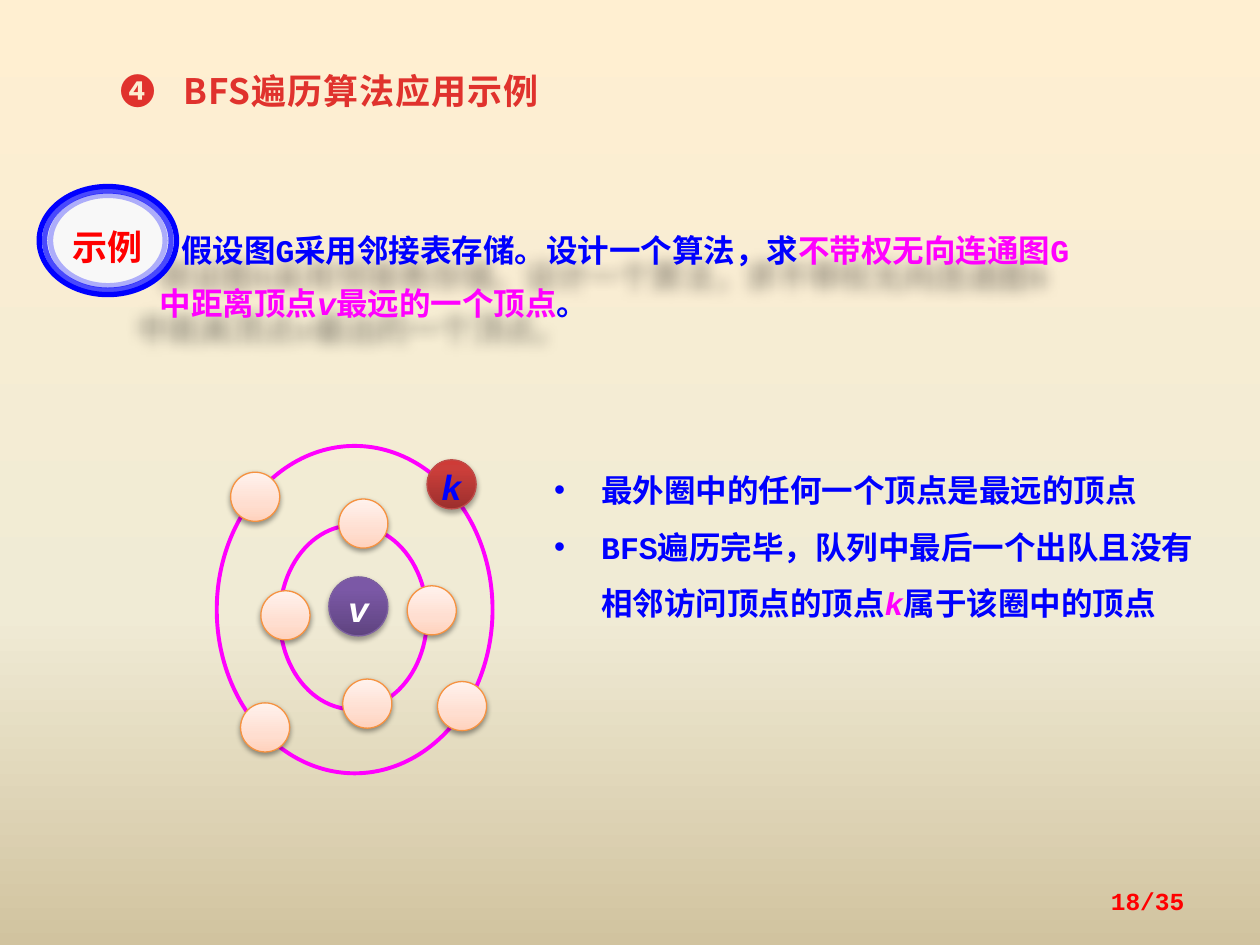
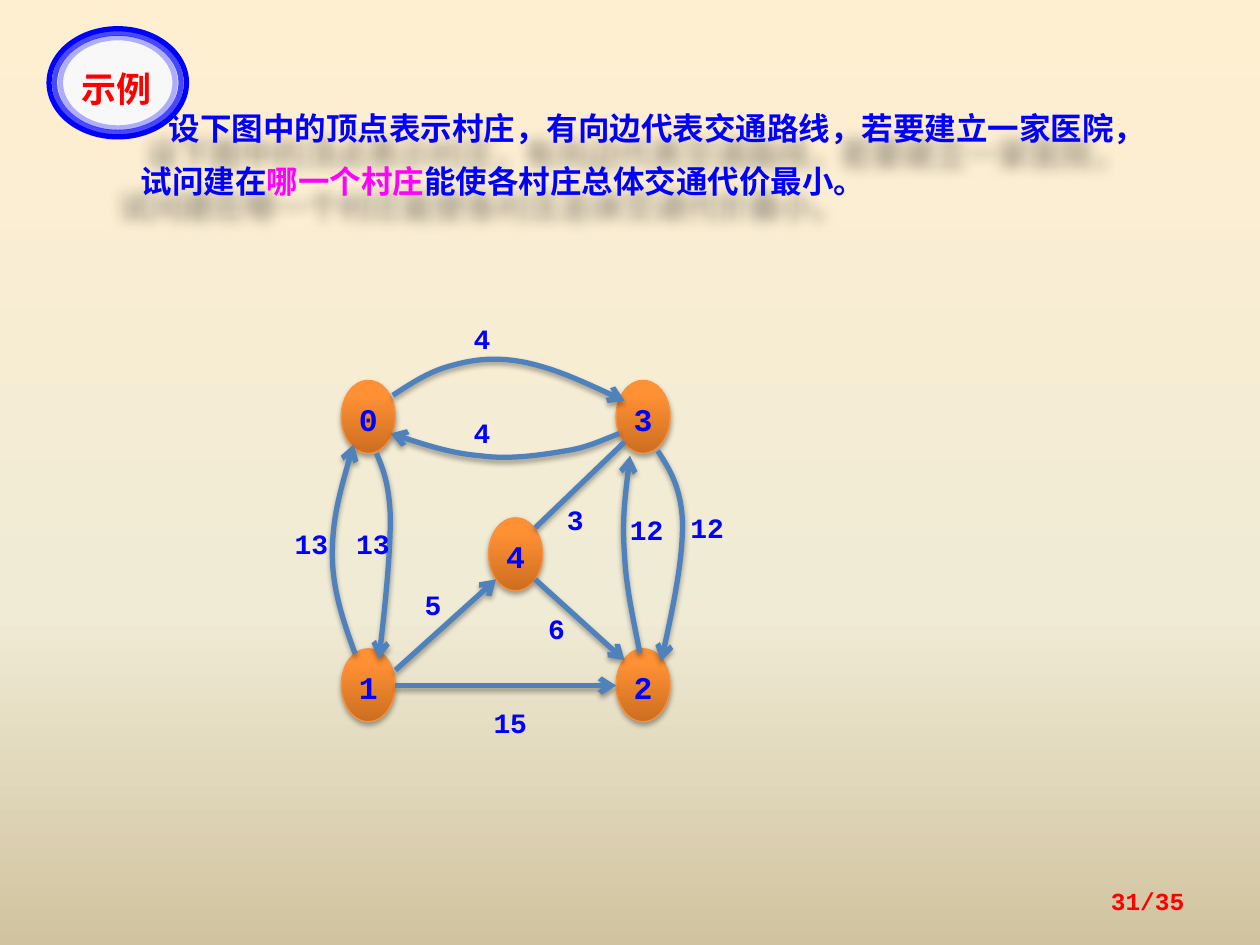
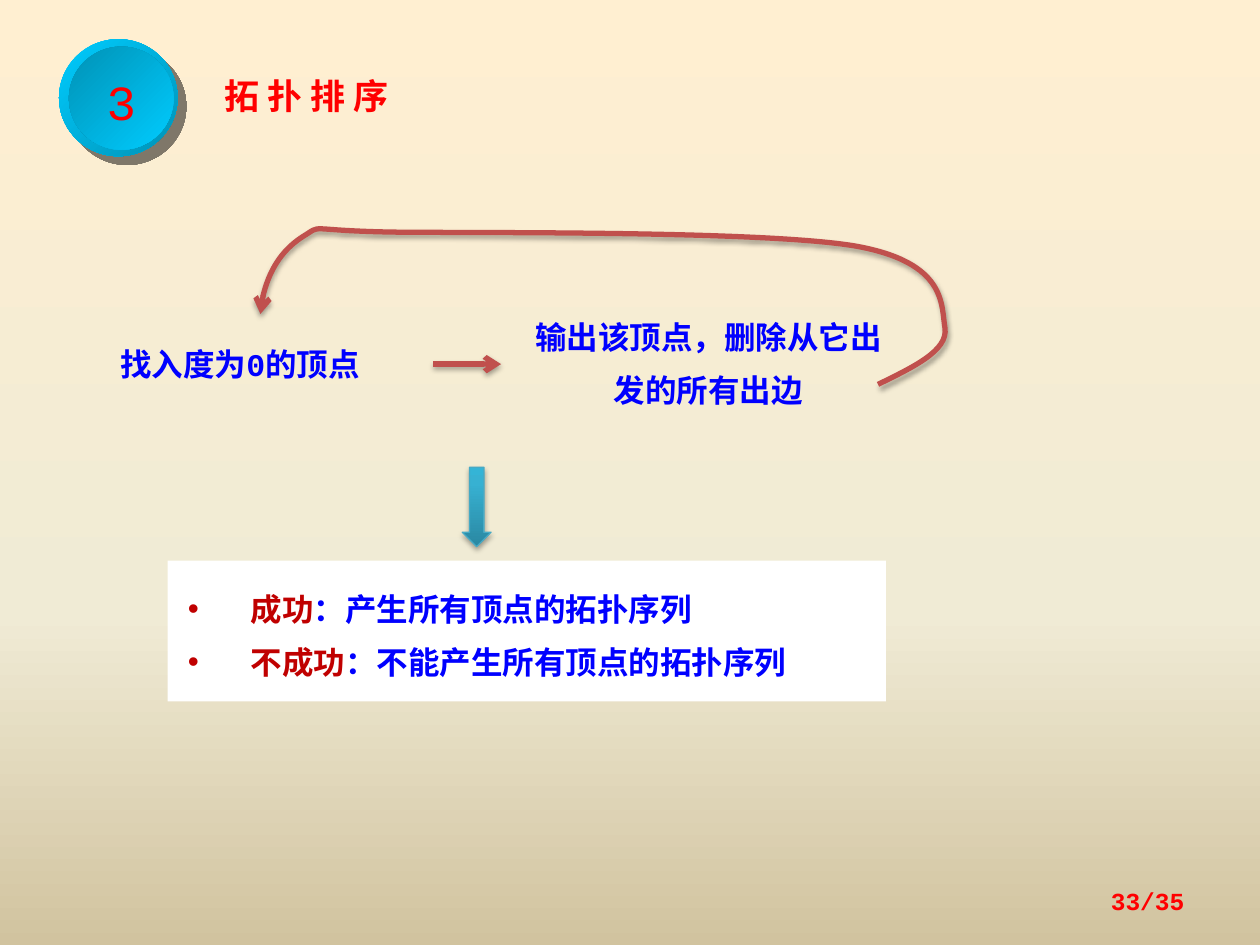
import pptx
import pptx.dml.color
import pptx.enum.shapes
import pptx.enum.text
import pptx.oxml.ns
import pptx.util
from lxml import etree

Cm = pptx.util.Cm
Pt = pptx.util.Pt
RGBColor = pptx.dml.color.RGBColor
MSO_SHAPE = pptx.enum.shapes.MSO_SHAPE
MSO_CONNECTOR = pptx.enum.shapes.MSO_CONNECTOR
PP_ALIGN = pptx.enum.text.PP_ALIGN
MSO_ANCHOR = pptx.enum.text.MSO_ANCHOR
MSO_AUTO_SIZE = pptx.enum.text.MSO_AUTO_SIZE
qn = pptx.oxml.ns.qn

BLUE = RGBColor(0x00, 0x00, 0xFF)
MAGENTA = RGBColor(0xFF, 0x00, 0xFF)
RED = RGBColor(0xFF, 0x00, 0x00)
DARK_RED = RGBColor(0xC0, 0x00, 0x00)
HEADING_RED = RGBColor(0xE0, 0x32, 0x2D)
WHITE = RGBColor(0xFF, 0xFF, 0xFF)
BLACK = RGBColor(0x00, 0x00, 0x00)
NEAR_BLACK = RGBColor(0x02, 0x02, 0x02)
BADGE_FILL = RGBColor(0xF8, 0xF8, 0xF8)
EDGE_BLUE = RGBColor(0x4F, 0x81, 0xBD)
FLOW_RED = RGBColor(0xC0, 0x50, 0x4D)
PURPLE_RIM = RGBColor(0x7D, 0x60, 0xA0)
ORANGE_RIM = RGBColor(0xF6, 0x92, 0x40)
CRIMSON_RIM = RGBColor(0xBF, 0x4C, 0x48)
TEAL_RIM = RGBColor(0x46, 0xAA, 0xC5)
DISC_LIGHT = RGBColor(0x00, 0xCC, 0xFF)
DISC_DARK = RGBColor(0x00, 0x92, 0xB6)


def stops(positions, *codes):
    return list(zip(positions, map(RGBColor.from_string, codes)))


GLOSS = (0, 80, 100)
SAND = stops((0, 65, 100), "FFEFD1", "F0EBD5", "D1C39F")
PURPLE = stops(GLOSS, "5F4480", "7B58A6", "7C57A8")
CRIMSON = stops(GLOSS, "9C2F2D", "CB3E3A", "CE3B37")
ORANGE = stops(GLOSS, "CC6E20", "FF9034", "FF9136")
TEAL = stops(GLOSS, "2A88A2", "37B1D2", "34B4D6")
PEACH = stops((0, 35, 100), "FFD2BD", "FFDED0", "FFF2ED")

MONO = "Courier New"
CJK = "Noto Sans CJK SC"
BADGE_FONT = "Noto Sans CJK JP"

SOFT = (BLACK, 35, 3.1, 1.8, 90)
PALE = (BLACK, 38, 3.1, 1.6, 90)
HARD = (NEAR_BLACK, 50, 0, 7.1, 45)
FLOATING = (BLACK, 35, 8, 19, 134)


def child(parent, tag, **attributes):
    return etree.SubElement(parent, qn(tag), {k: str(v) for k, v in attributes.items()})


def properties(shape):
    return shape._element.spPr


def set_gradient(fill, holder, colours, angle):
    fill.gradient()
    gradient = holder.find(qn("a:gradFill"))
    gradient.clear()
    stop_list = child(gradient, "a:gsLst")
    for position, colour in colours:
        stop = child(stop_list, "a:gs", pos=position * 1000)
        child(stop, "a:srgbClr", val=colour)
    child(gradient, "a:lin", ang=angle * 60000, scaled=0)


def set_shadow(shape, shadow=None):
    effects = child(properties(shape), "a:effectLst")
    if shadow:
        colour, alpha, blur, distance, angle = shadow
        cast = child(effects, "a:outerShdw", blurRad=Pt(blur), dist=Pt(distance),
                     dir=angle * 60000, rotWithShape=0)
        child(child(cast, "a:srgbClr", val=colour), "a:alpha", val=alpha * 1000)


def set_line(shape, colour, width, alpha=None, arrow=False):
    shape.line.color.rgb = colour
    shape.line.width = Pt(width)
    outline = properties(shape).find(qn("a:ln"))
    if alpha:
        child(outline.find(".//" + qn("a:srgbClr")), "a:alpha", val=alpha * 1000)
    if arrow:
        child(outline, "a:tailEnd", type="arrow")


def within(box, left, top, width, height):
    return Cm(box[0] + left), Cm(box[1] + top), Cm(width), Cm(height)


def write(frame, paragraphs, size, font=MONO, bold=True, align=PP_ALIGN.LEFT, spacing=1.1,
          anchor=MSO_ANCHOR.TOP, insets=None, first=0, hanging=0, tab=0, tracking=0):
    frame.word_wrap = True
    frame.auto_size = MSO_AUTO_SIZE.NONE
    frame.vertical_anchor = anchor
    if insets:
        (frame.margin_left, frame.margin_top,
         frame.margin_right, frame.margin_bottom) = map(Cm, insets)
    for index, pieces in enumerate(paragraphs):
        paragraph = frame.add_paragraph() if index else frame.paragraphs[0]
        layout = paragraph._p.get_or_add_pPr()
        layout.set("marL", str(Cm(hanging)))
        layout.set("indent", str(Cm(first - hanging)))
        if hanging:
            child(layout, "a:buFont", typeface="Arial")
            child(layout, "a:buChar", char="•")
        if tab:
            child(child(layout, "a:tabLst"), "a:tab", pos=Cm(tab), algn="l")
        paragraph.alignment = align
        paragraph.line_spacing = spacing
        for text, colour, *italic in pieces:
            run = paragraph.add_run()
            run.text = text
            run.font.size = Pt(size)
            run.font.bold = bold
            run.font.italic = bool(italic)
            run.font.color.rgb = colour
            run.font.name = font
            face = run._r.get_or_add_rPr()
            child(face, "a:ea", typeface=CJK if font == MONO else font)
            if tracking:
                face.set("spc", str(tracking))


def add_text(slide, place, paragraphs, size, **style):
    text = slide.shapes.add_textbox(*place)
    write(text.text_frame, paragraphs, size, **style)
    return text


def add_figure(slide, kind, place, fill=None, angle=270, line=None, shadow=None):
    figure = slide.shapes.add_shape(kind, *place)
    if isinstance(fill, list):
        set_gradient(figure.fill, properties(figure), fill, angle)
    elif fill:
        figure.fill.solid()
        figure.fill.fore_color.rgb = fill
    else:
        figure.fill.background()
    if line:
        set_line(figure, *line)
    else:
        figure.line.fill.background()
    set_shadow(figure, shadow)
    return figure


def add_node(slide, place, fill, rim, label=None, shadow=SOFT):
    node = add_figure(slide, MSO_SHAPE.OVAL, place, fill, line=(rim, 0.75), shadow=shadow)
    if label:
        text, colour, size, *italic = label
        write(node.text_frame, [[(text, colour, *italic)]], size, align=PP_ALIGN.CENTER,
              anchor=MSO_ANCHOR.MIDDLE, insets=(0, 0, 0, 0))


def add_edge(slide, box, start, end, colour, arrow=True):
    points = [Cm(origin + offset) for point in (start, end) for origin, offset in zip(box, point)]
    edge = slide.shapes.add_connector(MSO_CONNECTOR.STRAIGHT, *points)
    set_line(edge, colour, 3, arrow=arrow)
    set_shadow(edge, SOFT)


def add_curve(slide, box, points, colour):
    vertices = [(Cm(box[0] + x), Cm(box[1] + y)) for x, y in points]
    builder = slide.shapes.build_freeform(*vertices[0])
    builder.add_line_segments(vertices[1:], close=False)
    curve = builder.convert_to_shape()
    outline = properties(curve).find(".//" + qn("a:path"))
    segments = outline.findall(qn("a:lnTo"))
    for index in range(0, len(segments), 3):
        bezier = child(outline, "a:cubicBezTo")
        for segment in segments[index:index + 3]:
            bezier.append(segment[0])
            outline.remove(segment)
    curve.fill.background()
    set_line(curve, colour, 3, arrow=True)
    set_shadow(curve, SOFT)


def add_title(slide, place, text, colour, **style):
    title = slide.shapes.title
    title.left, title.top, title.width, title.height = place
    write(title.text_frame, [[(text, colour)]], 20, **style)


def add_page_number(slide, number):
    add_text(slide, within((18.2, 17.65), 0, 0, 5.93, 1.02), [[(f"{number}/35", RED)]], 14,
             align=PP_ALIGN.RIGHT, anchor=MSO_ANCHOR.MIDDLE, spacing=1.0)


def add_example_badge(slide, box):
    width, height = 2.77, 2.18
    for dx, dy, fill, alpha in ((0, 0, BADGE_FILL, None), (0.11, 0.09, None, 70),
                                (0.23, 0.18, None, 30)):
        add_figure(slide, MSO_SHAPE.OVAL,
                   within(box, dx, dy, width - 2 * dx, height - 2 * dy),
                   fill, line=(BLUE, 3, alpha))
    add_text(slide, within(box, 0.15, 0.58, 2.44, 0.99), [[("示例", RED)]], 20,
             font=BADGE_FONT, align=PP_ALIGN.CENTER)


def add_question(slide, place, pieces, first):
    question = add_text(slide, place, [pieces], 18, spacing=Pt(30), first=first)
    set_shadow(question, FLOATING)


def add_rings(slide, box):
    diameter = 0.99
    add_node(slide, within(box, 2.26, 2.64, 1.19, 1.19), PURPLE, PURPLE_RIM,
             ("v", WHITE, 20, True))
    rings = (
        ((1.27, 1.6, 2.97, 3.71), ((3.84, 2.82), (2.54, 4.7), (2.46, 1.07), (0.89, 2.92))),
        ((0, 0, 5.56, 6.6), ((0.48, 5.18), (4.45, 4.75), (0.28, 0.53))),
    )
    for ring, vertices in rings:
        add_figure(slide, MSO_SHAPE.OVAL, within(box, *ring), line=(MAGENTA, 2.25))
        for x, y in vertices:
            add_node(slide, within(box, x, y, diameter, diameter), PEACH, ORANGE_RIM, shadow=PALE)
    add_node(slide, within(box, 4.24, 0.28, diameter, diameter), CRIMSON, CRIMSON_RIM,
             ("k", BLUE, 20, True))


def add_village_graph(slide, box):
    villages = {"0": (0.94, 1.22), "3": (6.48, 1.22), "4": (3.91, 3.99),
                "1": (0.94, 6.63), "2": (6.48, 6.63)}
    curved_roads = (
        ((1.98, 1.52), (2.36, 1.27), (2.74, 1.02), (3.2, 0.91), (3.63, 0.79),
         (4.09, 0.74), (4.67, 0.86), (5.26, 0.99), (5.94, 1.3), (6.65, 1.63)),
        ((6.55, 2.29), (6.22, 2.41), (5.92, 2.57), (5.46, 2.64), (4.98, 2.72),
         (4.34, 2.82), (3.76, 2.74), (3.18, 2.69), (2.54, 2.49), (1.93, 2.29)),
        ((1.65, 2.69), (1.78, 3), (1.9, 3.28), (1.93, 3.96),
         (1.93, 4.65), (1.83, 5.74), (1.7, 6.83)),
        ((1.22, 6.73), (0.99, 6.1), (0.76, 5.44), (0.76, 4.72),
         (0.76, 4.01), (0.97, 3.25), (1.19, 2.51)),
        ((7.32, 2.64), (7.57, 3.02), (7.8, 3.4), (7.82, 4.11),
         (7.82, 4.83), (7.62, 5.84), (7.39, 6.88)),
        ((6.96, 6.71), (6.83, 6.05), (6.68, 5.38), (6.65, 4.72),
         (6.6, 4.06), (6.68, 3.4), (6.76, 2.74)),
    )
    straight_roads = (
        ((4.85, 4.19), (6.65, 2.46), False),
        ((2.03, 7.06), (4.06, 5.23), True),
        ((2.03, 7.37), (6.48, 7.37), True),
        ((4.85, 5.23), (6.65, 6.86), True),
    )
    costs = (("12", 7.98, 3.81), ("12", 6.76, 3.86), ("13", 0, 4.14), ("13", 1.24, 4.14),
             ("4", 3.61, 0), ("4", 3.61, 1.9), ("5", 2.62, 5.36), ("3", 5.49, 3.66),
             ("15", 4.01, 7.75), ("6", 5.11, 5.84))
    for name, (x, y) in villages.items():
        add_node(slide, within(box, x, y, 1.09, 1.47), ORANGE, ORANGE_RIM, (name, BLUE, 18))
    for points in curved_roads:
        add_curve(slide, box, points, EDGE_BLUE)
    for start, end, arrow in straight_roads:
        add_edge(slide, box, start, end, EDGE_BLUE, arrow)
    for cost, x, y in costs:
        add_text(slide, within(box, x, y, 0.79, 0.71), [[(cost, BLUE)]], 16,
                 spacing=Pt(20), insets=(0, 0, 0, 0))


def add_section_disc(slide, box, number):
    add_figure(slide, MSO_SHAPE.OVAL, within(box, 0, 0, 2.39, 2.36),
               [(0, DISC_LIGHT), (100, DISC_DARK)], 45, shadow=HARD)
    face = add_figure(slide, MSO_SHAPE.OVAL, within(box, 0.2, 0.15, 2.11, 2.08),
                      [(0, DISC_DARK), (100, DISC_LIGHT)], 45)
    write(face.text_frame, [[(number, RED)]], 28, bold=False, align=PP_ALIGN.CENTER,
          anchor=MSO_ANCHOR.MIDDLE)


def add_sorting_loop(slide, box):
    add_text(slide, within(box, 0, 2.03, 6.35, 1.32), [[("找入度为0的顶点", BLUE)]], 18,
             spacing=Pt(30))
    add_text(slide, within(box, 8.33, 1.5, 7.54, 2.39),
             [[("输出该顶点，删除从它出发的所有出边", BLUE)]], 18,
             spacing=Pt(30), align=PP_ALIGN.CENTER)
    add_edge(slide, box, (6.55, 2.84), (7.92, 2.84), FLOW_RED)
    way_back = ((15.52, 3.25), (16.23, 2.9), (16.94, 2.57), (16.87, 2.11),
                (16.79, 1.65), (16.92, 0.79), (15.06, 0.46),
                (13.21, 0.15), (7.62, 0.2), (5.77, 0.18),
                (3.89, 0.15), (4.37, 0), (3.91, 0.28),
                (3.48, 0.56), (3.1, 1.19), (3.07, 1.83))
    add_curve(slide, box, way_back, FLOW_RED)


def add_outcomes(slide, box):
    add_figure(slide, MSO_SHAPE.DOWN_ARROW, within(box, 5.94, 0, 0.58, 1.6), TEAL,
               line=(TEAL_RIM, 0.75), shadow=SOFT)
    panel = add_figure(slide, MSO_SHAPE.RECTANGLE, within(box, 0, 1.88, 14.48, 2.84), WHITE)
    outcomes = (("成功", "：产生所有顶点的拓扑序列"), ("不成功", "：不能产生所有顶点的拓扑序列"))
    write(panel.text_frame, [[(result, DARK_RED), (meaning, BLUE)] for result, meaning in outcomes],
          18, spacing=Pt(30), hanging=1.27, insets=(0.41, 0.3, 0.25, 0.41))


def build_farthest_vertex(slide):
    add_title(slide, within((2.18, 1.07), 0, 0, 11.3, 1.32), "❹\tBFS遍历算法应用示例",
              HEADING_RED, font=CJK, spacing=Pt(30), tab=1.09, tracking=50)
    add_question(slide, within((2.97, 4.24), 0, 0, 19.05, 2.31), [
        ("假设图G采用邻接表存储。设计一个算法，求", BLUE),
        ("不带权无向连通图G中距离顶点", MAGENTA),
        ("v", MAGENTA, True),
        ("最远的一个顶点", MAGENTA),
        ("。", BLUE),
    ], 0.43)
    add_rings(slide, (4.37, 8.99))
    add_text(slide, within((10.92, 8.99), 0, 0, 13.69, 3.58), [
        [("最外圈中的任何一个顶点是最远的顶点", BLUE)],
        [("BFS遍历完毕，队列中最后一个出队且没有相邻访问顶点的顶点", BLUE),
         ("k", MAGENTA, True),
         ("属于该圈中的顶点", BLUE)],
    ], 18, spacing=1.5, hanging=0.95)
    add_example_badge(slide, (0.79, 3.76))
    add_page_number(slide, 18)


def build_hospital(slide):
    add_question(slide, within((2.59, 1.78), 0, 0, 21.03, 2.39), [
        ("设下图中的顶点表示村庄，有向边代表交通路线，若要建立一家医院，试问建在", BLUE),
        ("哪一个村庄", MAGENTA),
        ("能使各村庄总体交通代价最小。", BLUE),
    ], 0.56)
    add_village_graph(slide, (5.94, 6.45))
    add_example_badge(slide, (0.99, 0.58))
    add_page_number(slide, 31)


def build_topological_sort(slide):
    add_section_disc(slide, (1.19, 0.79), "3")
    add_title(slide, within((3.96, 1.3), 0, 0, 7.75, 1.14), "拓 扑 排 序", RED, first=0.32)
    add_sorting_loop(slide, (2.18, 4.5))
    add_outcomes(slide, (3.38, 9.42))
    add_page_number(slide, 33)


def main():
    deck = pptx.Presentation()
    deck.slide_width, deck.slide_height = Cm(25.4), Cm(19.05)
    master = deck.slide_master
    backdrop = master.background.fill
    backdrop.solid()
    set_gradient(backdrop, master._element.find(".//" + qn("p:bgPr")), SAND, 90)
    title_only, blank = deck.slide_layouts[5], deck.slide_layouts[6]
    for layout, build in ((title_only, build_farthest_vertex), (blank, build_hospital),
                          (title_only, build_topological_sort)):
        build(deck.slides.add_slide(layout))
    deck.save("out.pptx")


if __name__ == "__main__":
    main()
